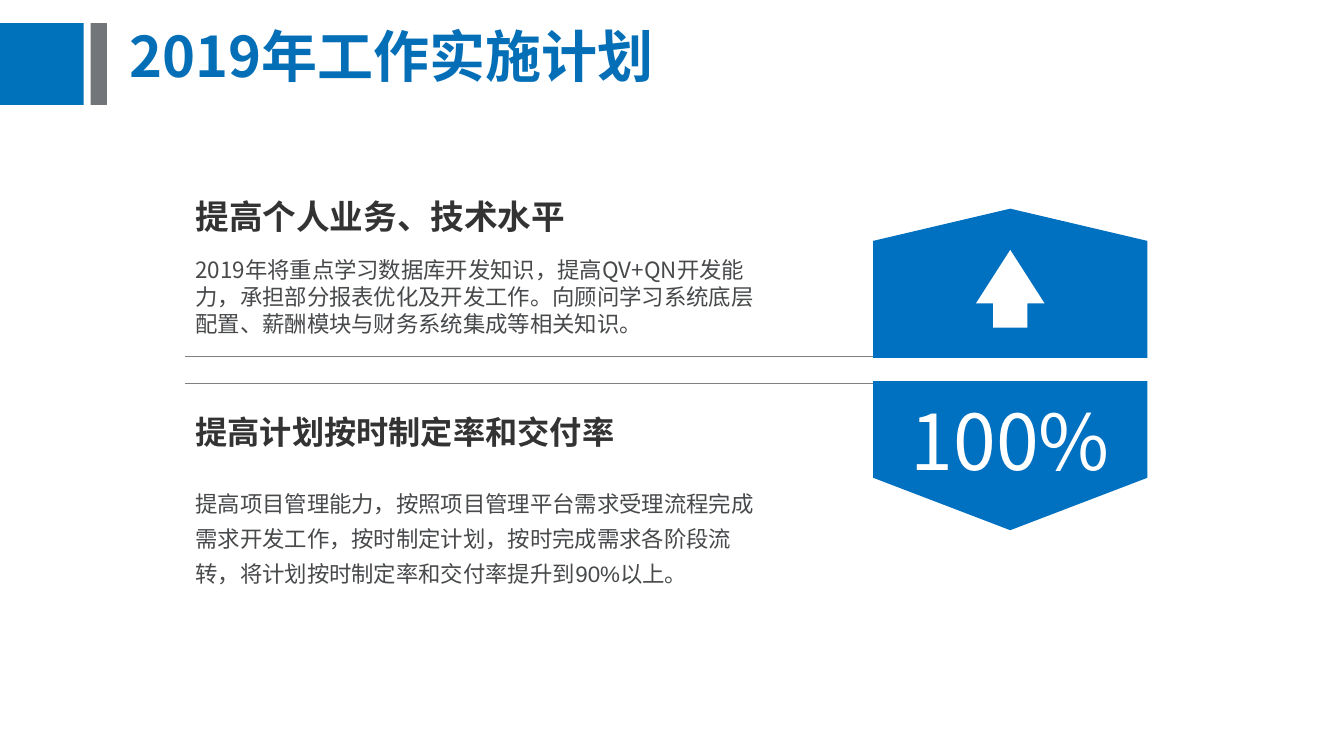
from lxml import etree
from pptx import Presentation
from pptx.dml.color import RGBColor
from pptx.enum.shapes import MSO_CONNECTOR, MSO_SHAPE
from pptx.enum.text import MSO_ANCHOR, PP_ALIGN
from pptx.oxml.ns import qn
from pptx.util import Inches, Pt

RECTANGLE = MSO_SHAPE.RECTANGLE
UP_ARROW = MSO_SHAPE.UP_ARROW
STRAIGHT = MSO_CONNECTOR.STRAIGHT
TOP, MIDDLE = MSO_ANCHOR.TOP, MSO_ANCHOR.MIDDLE
LEFT, CENTER = PP_ALIGN.LEFT, PP_ALIGN.CENTER

BAR_BLUE = RGBColor(0x00, 0x72, 0xBC)
BAR_GRAY = RGBColor(0x72, 0x75, 0x79)
TITLE_BLUE = RGBColor(0x04, 0x6F, 0xB6)
BADGE_BLUE = RGBColor(0x00, 0x70, 0xC0)
LINE_GRAY = RGBColor(0x80, 0x80, 0x80)
HEADING_GRAY = RGBColor(0x33, 0x33, 0x33)
BODY_GRAY = RGBColor(0x47, 0x49, 0x4B)
WHITE = RGBColor(0xFF, 0xFF, 0xFF)
CJK_FONT = "Noto Sans CJK SC"

PLANS = [
    {
        "box": (1.84, 1.89, 5.74, 1.81),
        "heading": "提高个人业务、技术水平",
        "heading_size": 24,
        "body_offset": 0.6,
        "body": "2019年将重点学习数据库开发知识，提高QV+QN开发能力，承担部分报表优化及"
                "开发工作。向顾问学习系统底层配置、薪酬模块与财务系统集成等相关知识。",
        "body_font": CJK_FONT,
        "body_spacing": 1.0,
    },
    {
        "box": (1.84, 4.04, 5.74, 1.8),
        "heading": "提高计划按时制定率和交付率",
        "heading_size": 23,
        "body_offset": 0.69,
        "body": "提高项目管理能力，按照项目管理平台需求受理流程完成需求开发工作，按时制定"
                "计划，按时完成需求各阶段流转，将计划按时制定率和交付率提升到90%以上。",
        "body_font": "Arial",
        "body_spacing": 1.3,
    },
]


def write_text(shape, text, size, color, bold=False, name=CJK_FONT,
               spacing=1.0, alignment=LEFT, anchor=TOP, inset_top=0.05):
    """Write one formatted paragraph into a shape."""
    frame = shape.text_frame
    frame_format = {
        "word_wrap": True, "vertical_anchor": anchor,
        "margin_left": Inches(0.1), "margin_right": Inches(0.1),
        "margin_top": Inches(inset_top), "margin_bottom": Inches(0.05),
    }
    for attribute, value in frame_format.items():
        setattr(frame, attribute, value)
    paragraph = frame.paragraphs[0]
    paragraph.alignment = alignment
    paragraph.line_spacing = spacing
    # Keep punctuation inside the right margin.
    paragraph._p.get_or_add_pPr().set("hangingPunct", "0")
    run = paragraph.add_run()
    run.text = text
    for attribute, value in {"size": Pt(size), "bold": bold, "name": name}.items():
        setattr(run.font, attribute, value)
    run.font.color.rgb = color
    east_asian = etree.SubElement(run.font._element, qn("a:ea"))
    east_asian.set("typeface", CJK_FONT)


def add_text(slide, box, text, size, color, **text_format):
    """Add a text box at a box given in inches."""
    text_box = slide.shapes.add_textbox(*map(Inches, box))
    write_text(text_box, text, size, color, **text_format)


def paint(shape, color):
    """Give a shape a flat fill without outline or shadow."""
    shape.shadow.inherit = False
    shape.fill.solid()
    shape.fill.fore_color.rgb = color
    shape.line.fill.background()


def add_preset(slide, preset, box, color):
    """Add a flat preset shape at a box given in inches."""
    shape = slide.shapes.add_shape(preset, *map(Inches, box))
    paint(shape, color)
    return shape


def add_badge(slide, box, shoulder, points_up):
    """Add a five-sided badge whose tip is `shoulder` inches tall."""
    left, top, width, height = box
    right, bottom, middle = left + width, top + height, left + width / 2
    if points_up:
        base, tip, side = bottom, top, top + shoulder
    else:
        base, tip, side = top, bottom, bottom - shoulder
    corners = [(right, base), (right, side), (middle, tip), (left, side)]
    builder = slide.shapes.build_freeform(Inches(left), Inches(base))
    builder.add_line_segments([(Inches(x), Inches(y)) for x, y in corners])
    badge = builder.convert_to_shape()
    paint(badge, BADGE_BLUE)
    return badge


def add_header(slide, box):
    """Add the two bars and the slide title."""
    left, top, width, height = box
    add_preset(slide, RECTANGLE, (left, top, 0.83, height), BAR_BLUE)
    add_preset(slide, RECTANGLE, (left + 0.9, top, 0.16, height), BAR_GRAY)
    add_text(slide, (left + 1.19, top - 0.08, width - 1.19, 0.87),
             "2019年工作实施计划", 40, TITLE_BLUE,
             bold=True, spacing=0.9, anchor=MIDDLE)


def add_plan(slide, plan):
    """Add the heading and body of one plan inside its box."""
    left, top, width, height = plan["box"]
    offset = plan["body_offset"]
    add_text(slide, (left, top, width, 0.5), plan["heading"],
             plan["heading_size"], HEADING_GRAY, bold=True)
    add_text(slide, (left, top + offset, width, height - offset), plan["body"],
             16, BODY_GRAY, name=plan["body_font"], spacing=plan["body_spacing"])


def add_badges(slide, box):
    """Add the upward badge with its arrow and the downward badge with 100%."""
    left, top, width, height = box
    badge_height = 1.48
    add_badge(slide, (left, top, width, badge_height), 0.32, True)
    lower = add_badge(slide, (left, top + height - badge_height, width, badge_height),
                      0.52, False)
    write_text(lower, "100%", 55, WHITE, spacing=Pt(15),
               alignment=CENTER, inset_top=0.83)
    arrow_width = 0.68
    arrow_left = left + (width - arrow_width) / 2
    arrow = add_preset(slide, UP_ARROW, (arrow_left, top + 0.41, arrow_width, 0.77), WHITE)
    arrow.adjustments[0] = 0.5
    arrow.adjustments[1] = 0.78


def add_dividers(slide, box):
    """Add a thin line along the top and the bottom of the box."""
    left, top, width, height = box
    for y in (top, top + height):
        line = slide.shapes.add_connector(
            STRAIGHT, Inches(left + width), Inches(y), Inches(left), Inches(y))
        line.line.color.rgb = LINE_GRAY
        line.line.width = Pt(0.5)
        etree.SubElement(line._element.spPr, qn("a:effectLst"))


def main():
    """Build and save the slide."""
    presentation = Presentation()
    presentation.slide_width = Inches(13.33)
    presentation.slide_height = Inches(7.5)
    slide = presentation.slides.add_slide(presentation.slide_layouts[6])
    add_header(slide, (0, 0.23, 13.33, 0.81))
    add_badges(slide, (8.66, 2.07, 2.72, 3.19))
    add_dividers(slide, (1.84, 3.54, 6.82, 0.26))
    for plan in PLANS:
        add_plan(slide, plan)
    presentation.save("out.pptx")


main()
